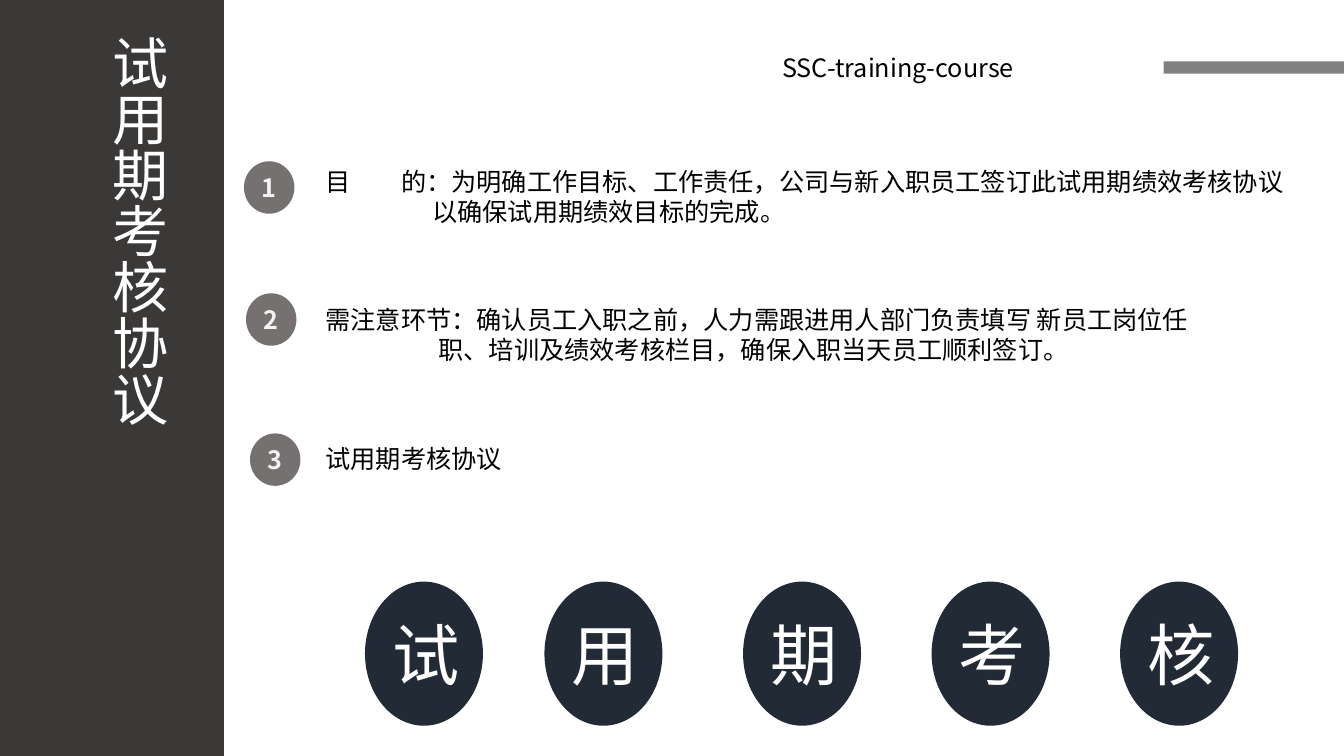
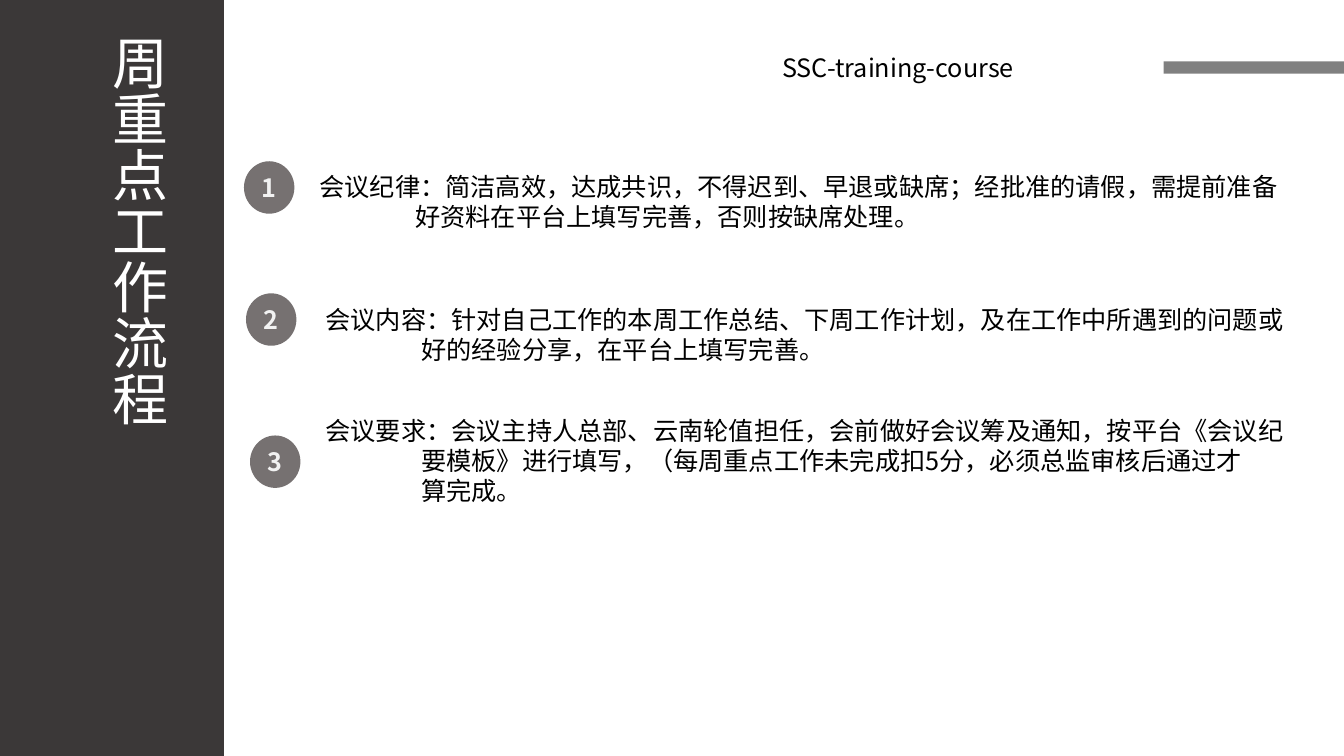
from pptx import Presentation
from pptx.dml.color import RGBColor as Rgb
from pptx.enum.shapes import MSO_SHAPE as Kind
from pptx.enum.text import MSO_ANCHOR as Anchor, PP_ALIGN as Align
from pptx.oxml.ns import qn
from pptx.util import Pt
from lxml.etree import SubElement as Sub

HUES = {"band": "3B3838", "bar": "808080", "badge": "767171", "disc": "222A35",
        "ink": "000000", "white": "FFFFFF", "pale": "F2F2F2"}
FONT = "Noto Sans CJK SC"
SCALE = 9144


class Deck:
    def __init__(self):
        self.file = Presentation()
        self.file.slide_width, self.file.slide_height = 1333 * SCALE, 750 * SCALE
        self.slide = None

    def place(self, box):
        return [n * SCALE for n in box]

    def fill(self, frame, lines, hue="ink", align=Align.LEFT, indent=0, tab=0, **style):
        for i, line in enumerate(lines):
            par = frame.paragraphs[0] if i == 0 else frame.add_paragraph()
            par.alignment = align
            props = par._p.get_or_add_pPr()
            if i:
                props.set("marL", str(indent * SCALE))
                props.set("indent", "0")
            elif tab:
                stops = Sub(props, qn("a:tabLst"))
                Sub(stops, qn("a:tab"), pos=str(tab * SCALE), algn="l")
            run = par.add_run()
            run.text = line
            for key, value in {"name": FONT, "size": Pt(18), **style}.items():
                setattr(run.font, key, value)
            run.font.color.rgb = Rgb.from_string(HUES[hue])
            Sub(run._r.get_or_add_rPr(), qn("a:ea"), typeface=FONT)

    def text(self, box, lines, vert=None, **style):
        frame = self.slide.shapes.add_textbox(*self.place(box)).text_frame
        frame.word_wrap = True
        if vert:
            frame._txBody.bodyPr.set("vert", vert)
        self.fill(frame, lines, **style)

    def shape(self, kind, box, hue, label=None, **style):
        item = self.slide.shapes.add_shape(kind, *self.place(box))
        item.shadow.inherit = False
        item.fill.solid()
        item.fill.fore_color.rgb = Rgb.from_string(HUES[hue])
        item.line.fill.background()
        if label:
            item.text_frame.vertical_anchor = Anchor.MIDDLE
            self.fill(item.text_frame, [label], align=Align.CENTER, **style)

    def page(self, title):
        self.slide = self.file.slides.add_slide(self.file.slide_layouts[6])
        self.shape(Kind.RECTANGLE, (0, 0, 222, 750), "band")
        self.text((89, 25, 87, 668), [title], vert="eaVert", hue="white", size=Pt(40))
        self.shape(Kind.RECTANGLE, (1154, 61, 179, 12), "bar")
        self.text((766, 47, 388, 40), ["SSC-training-course"])

    def badge(self, num, left, top):
        box = (left, top, 50, 52)
        item = {"label": str(num), "bold": True}
        self.disc(Kind.FLOWCHART_CONNECTOR, box, "badge", "pale", item)

    def disc(self, kind, box, back, front, item):
        shape = self.slide.shapes.add_shape(kind, *self.place(box))
        shape.shadow.inherit = False
        shape.fill.solid()
        shape.fill.fore_color.rgb = Rgb.from_string(HUES[back])
        shape.line.fill.background()
        shape.text_frame.vertical_anchor = Anchor.MIDDLE
        style = dict(item)
        label = style.pop("label")
        self.fill(shape.text_frame, [label], hue=front, align=Align.CENTER, **style)

    def points(self, items, tops):
        spots = zip((242, 244, 248), tops)
        for num, ((left, top), (box, lines, style)) in enumerate(zip(spots, items), 1):
            self.badge(num, left, top)
            self.text(box, lines, **style)

    def discs(self, word, lefts):
        for char, left in zip(word, lefts):
            item = {"label": char, "size": Pt(48)}
            self.disc(Kind.OVAL, (left, 577, 117, 143), "disc", "white", item)


def main():
    deck = Deck()
    deck.page("试用期考核协议")
    deck.points([
        ((313, 160, 994, 101),
         ["目\t的：为明确工作目标、工作责任，公司与新入职员工签订此试用期绩效考核协议",
          "以确保试用期绩效目标的完成。"], {"indent": 106, "tab": 75}),
        ((313, 297, 898, 71),
         ["需注意环节：确认员工入职之前，人力需跟进用人部门负责填写 新员工岗位任",
          "职、培训及绩效考核栏目，确保入职当天员工顺利签订。"], {"indent": 112}),
        ((313, 435, 391, 40), ["试用期考核协议"], {}),
    ], (160, 291, 430))
    deck.discs("试用期考核", (362, 540, 737, 924, 1111))

    deck.page("周重点工作流程")
    deck.points([
        ((307, 165, 976, 71),
         ["会议纪律：简洁高效，达成共识，不得迟到、早退或缺席；经批准的请假，需提前准备",
          "好资料在平台上填写完善，否则按缺席处理。"], {"indent": 95}),
        ((313, 297, 978, 71),
         ["会议内容：针对自己工作的本周工作总结、下周工作计划，及在工作中所遇到的问题或",
          "好的经验分享，在平台上填写完善。"], {"indent": 95}),
        ((313, 407, 978, 101),
         ["会议要求：会议主持人总部、云南轮值担任，会前做好会议筹及通知，按平台《会议纪",
          "要模板》进行填写，（每周重点工作未完成扣5分，必须总监审核后通过才",
          "算完成。"], {"indent": 95}),
    ], (160, 291, 432))
    deck.file.save("out.pptx")


if __name__ == "__main__":
    main()
